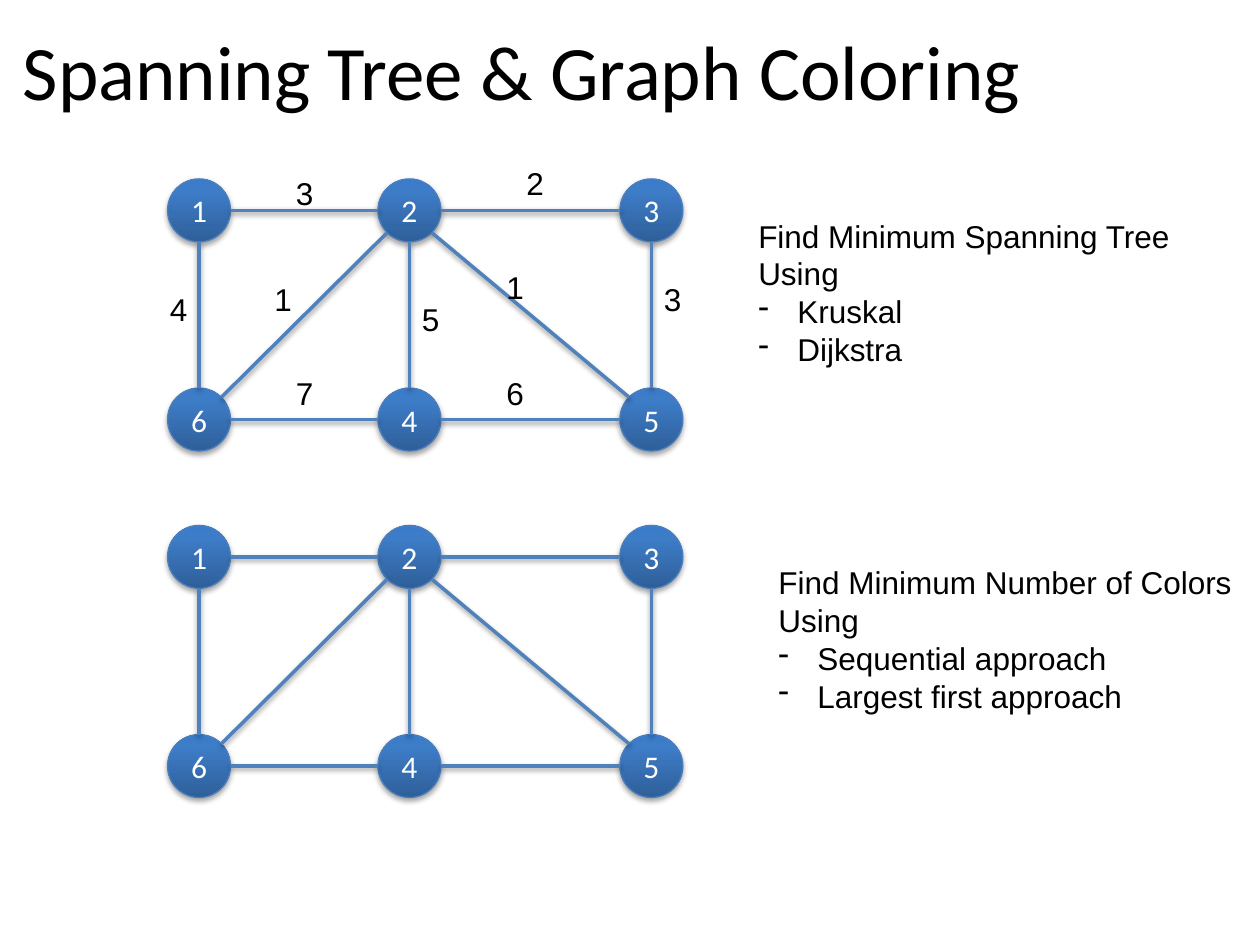
from copy import deepcopy
from math import sqrt

from lxml.etree import SubElement
from pptx import Presentation
from pptx.dml.color import RGBColor
from pptx.enum.shapes import MSO_CONNECTOR, MSO_SHAPE
from pptx.enum.text import MSO_ANCHOR, MSO_AUTO_SIZE, PP_ALIGN
from pptx.oxml.ns import qn
from pptx.util import Inches, Pt

TITLE = "Spanning Tree & Graph Coloring"
RADIUS = 0.25
ROW_GAP = 1.66
NODES = {"1": (1.58, 0), "2": (3.25, 0), "3": (5.17, 0),
         "6": (1.58, 1), "4": (3.25, 1), "5": (5.17, 1)}
EDGES = ["12", "23", "24", "45", "35", "16", "25", "46", "26"]
WEIGHTS = [("3", 2.25, 1.33), ("4", 1.25, 2.25), ("5", 3.25, 2.33),
           ("2", 4.08, 1.25), ("1", 3.92, 2.08), ("6", 3.92, 2.92),
           ("3", 5.17, 2.17), ("7", 2.25, 2.92), ("1", 2.08, 2.17)]
GRAPH_TOPS = [1.67, 4.42]
TASKS = [
    ((5.92, 1.67, 3.5, 1.31), ["Find Minimum Spanning Tree", "Using"],
     ["Kruskal", "Dijkstra"]),
    ((6.08, 4.42, 3.84, 1.31), ["Find Minimum Number of Colors", "Using"],
     ["Sequential approach", "Largest first approach"]),
]
NODE_STOPS = [(0, "2F5F99"), (0.8, "3D7CC7"), (1, "3A7CCB")]


def rgb(value):
    return RGBColor.from_string(value)


def set_font(p, name, size, color):
    p.font.name = name
    p.font.size = Pt(size)
    p.font.color.rgb = rgb(color)


def set_line(shape, color, width):
    shape.line.color.rgb = rgb(color)
    shape.line.width = Pt(width)


def add_shadow(shape, distance, opacity):
    effects = SubElement(shape._element.spPr, qn("a:effectLst"))
    shadow = SubElement(effects, qn("a:outerShdw"), blurRad=str(Pt(3.1)),
                        dist=str(Pt(distance)), dir="5400000", rotWithShape="0")
    color = SubElement(shadow, qn("a:srgbClr"), val="000000")
    SubElement(color, qn("a:alpha"), val=str(opacity * 1000))


def add_node(s, label, x, y):
    sp = s.shapes.add_shape(MSO_SHAPE.OVAL, Inches(x - RADIUS), Inches(y - RADIUS),
                            Inches(2 * RADIUS), Inches(2 * RADIUS))
    sp.fill.gradient()
    sp.fill.gradient_angle = 90
    stops = sp._element.spPr.find(qn("a:gradFill")).find(qn("a:gsLst"))
    stops.append(deepcopy(stops[-1]))
    for stop, (position, color) in zip(sp.fill.gradient_stops, NODE_STOPS):
        stop.position = position
        stop.color.rgb = rgb(color)
    set_line(sp, "4B7EBC", 0.75)
    add_shadow(sp, 1.8, 35)
    tf = sp.text_frame
    tf.margin_left = tf.margin_right = tf.margin_top = tf.margin_bottom = 0
    tf.vertical_anchor = MSO_ANCHOR.MIDDLE
    p = tf.paragraphs[0]
    p.text = label
    p.alignment = PP_ALIGN.CENTER
    set_font(p, "Calibri", 18, "FFFFFF")


def add_edge(s, start, end):
    dx, dy = ((b > a) - (b < a) for a, b in zip(start, end))
    reach = RADIUS / sqrt(dx * dx + dy * dy)
    (x1, y1), (x2, y2) = start, end
    ends = (x1 + dx * reach, y1 + dy * reach, x2 - dx * reach, y2 - dy * reach)
    line = s.shapes.add_connector(MSO_CONNECTOR.STRAIGHT, *map(Inches, ends))
    set_line(line, "4F81BD", 2)
    add_shadow(line, 1.6, 38)


def add_text(s, box, lines, bullets=()):
    tf = s.shapes.add_textbox(*map(Inches, box)).text_frame
    tf.word_wrap = False
    tf.auto_size = MSO_AUTO_SIZE.SHAPE_TO_FIT_TEXT
    for i, text in enumerate([*lines, *bullets]):
        p = tf.add_paragraph() if i else tf.paragraphs[0]
        p.text = text
        set_font(p, "Arial", 18, "000000")
        if i >= len(lines):
            pPr = p._p.get_or_add_pPr()
            pPr.set("marL", str(Inches(0.31)))
            pPr.set("indent", str(Inches(-0.31)))
            bullet = pPr.makeelement(qn("a:buChar"), {"char": "-"})
            pPr.insert(0, bullet)


def main():
    prs = Presentation()
    prs.slide_width, prs.slide_height = Inches(10), Inches(7.5)
    s = prs.slides.add_slide(prs.slide_layouts[5])

    title = s.shapes.title
    title.left, title.top, title.width, title.height = map(
        Inches, (0.08, 0.08, 9.75, 0.95))
    p = title.text_frame.paragraphs[0]
    p.text = TITLE
    p.alignment = PP_ALIGN.LEFT
    set_font(p, "Calibri", 44, "000000")

    for top in GRAPH_TOPS:
        centers = {n: (x, top + row * ROW_GAP) for n, (x, row) in NODES.items()}
        for label, center in centers.items():
            add_node(s, label, *center)
        for a, b in EDGES:
            add_edge(s, centers[a], centers[b])

    for weight, x, y in WEIGHTS:
        add_text(s, (x, y, 0.34, 0.4), [weight])
    for box, lines, bullets in TASKS:
        add_text(s, box, lines, bullets)

    prs.save("out.pptx")


if __name__ == "__main__":
    main()
